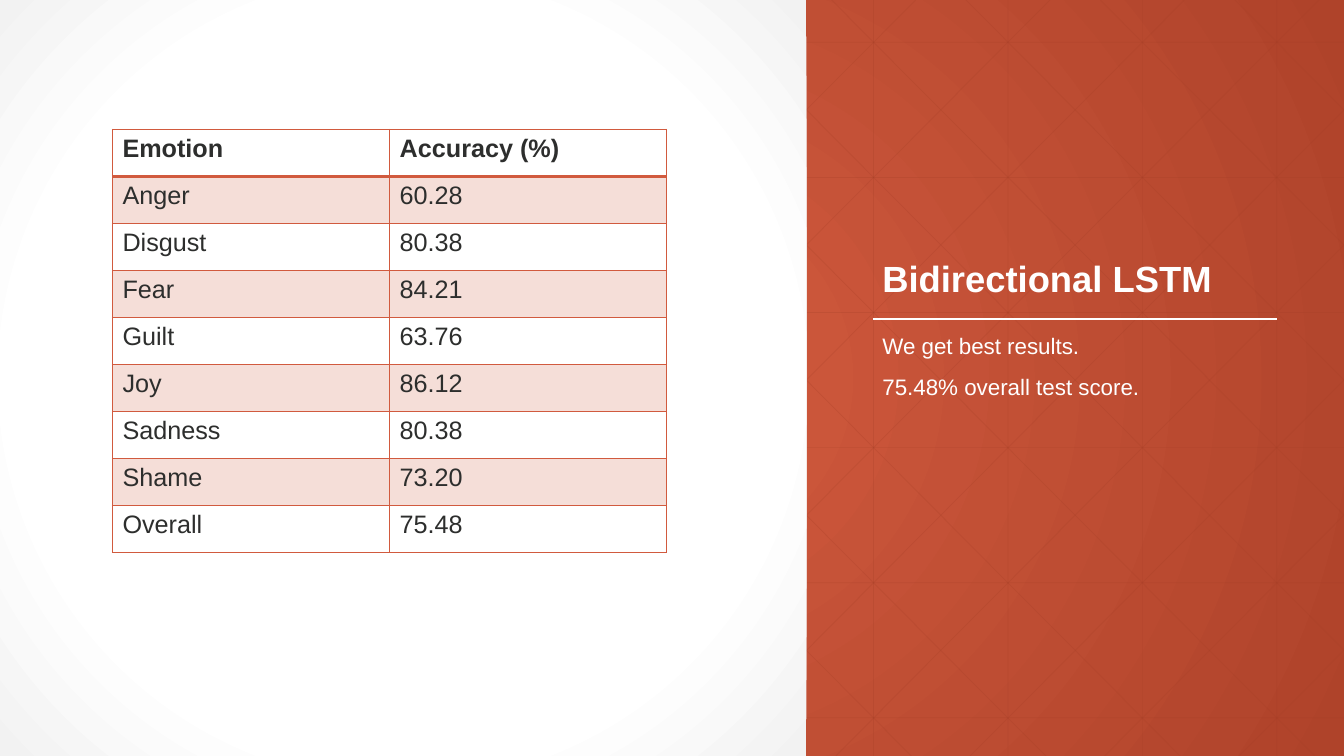
from lxml import etree
from pptx import Presentation
from pptx.dml.color import RGBColor
from pptx.enum.shapes import MSO_CONNECTOR as CONN, MSO_SHAPE as SHAPE
from pptx.enum.text import MSO_ANCHOR as ANCHOR, MSO_AUTO_SIZE as AUTO, PP_ALIGN as ALIGN
from pptx.oxml import parse_xml
from pptx.oxml.ns import nsdecls, qn
from pptx.util import Pt

rgb = RGBColor.from_string
ACCENT, GRID, WHITE, INK = "D15A3E", "A43F27", "FFFFFF", "2D2E2D"
W, H, PANEL_W = 960, 540, 576


def write(tf, text, size=18, color=INK, bold=False, spacing=1.0, before=0):
    tf.word_wrap = True
    tf.text = text
    for p in tf.paragraphs:
        p.alignment = ALIGN.LEFT
        p.line_spacing, p.space_before = spacing, Pt(before)
        f = p.runs[0].font
        f.name, f.size, f.bold = "Arial", Pt(size), bold
        f.color.rgb = rgb(color)


def radial(owner, stops):
    """Turn the owner's gradient fill into a circular one."""
    owner.fill.gradient()
    element = s.element if owner is background else owner.element
    grad = element.find(".//" + qn("a:gradFill"))
    gs = "".join(f'<a:gs pos="{pos * 1000}"><a:srgbClr val="{c}"/></a:gs>' for pos, c in stops)
    grad.getparent().replace(grad, parse_xml(
        f'<a:gradFill {nsdecls("a")} rotWithShape="1"><a:gsLst>{gs}</a:gsLst><a:path path="circle">'
        '<a:fillToRect l="50000" t="50000" r="50000" b="50000"/></a:path></a:gradFill>'))


prs = Presentation()
prs.slide_width, prs.slide_height = Pt(W), Pt(H)
s = prs.slides.add_slide(prs.slide_layouts[5])
background = s.background
radial(background, [(0, ACCENT), (100, "AF432A")])

# Lattice: verticals, horizontals, then both diagonals that reach the red side
lines = [(x, 0, x, H, GRID, 0.5) for x in range(624, W, 96)]
lines += [(0, 30.24 + 96.5 * i, W, 30.24 + 96.5 * i, GRID, 0.5) for i in range(6)]
for first, slope in ((114, 537 / H), (654, -537 / H)):
    for top_x in range(first, first + 9 * 96, 96):
        y1, y2 = (min(max((x - top_x) / slope, 0), H) for x in (0, W))
        lines.append((top_x + slope * y1, y1, top_x + slope * y2, y2, GRID, 0.5))

# The rule under the title comes last, above the white panel
lines.append((623.5, 228, 912.24, 228, WHITE, 1.5))
for x1, y1, x2, y2, color, width in lines:
    if color == WHITE:
        panel = s.shapes.add_shape(SHAPE.RECTANGLE, 0, 0, Pt(PANEL_W), Pt(H))
        panel.shadow.inherit = False
        panel.line.fill.background()
        radial(panel, [(0, WHITE), (69, WHITE), (100, "F2F2F2")])
    line = s.shapes.add_connector(CONN.STRAIGHT, Pt(x1), Pt(y1), Pt(x2), Pt(y2))
    line.line.width = Pt(width)
    line.line.color.rgb = rgb(color)
    if color == GRID:
        etree.SubElement(line.element.find(".//" + qn("a:srgbClr")), qn("a:alpha"), val="25000")
    etree.SubElement(line.element.spPr, qn("a:effectLst"))

# Title, brought in front of the lattice, and remarks
title = s.shapes.title
title.element.getparent().append(title.element)
title.left, title.top, title.width, title.height = Pt(623), Pt(45.2), Pt(288), Pt(172.8)
title.text_frame.vertical_anchor = ANCHOR.BOTTOM
title.text_frame.auto_size = AUTO.NONE
write(title.text_frame, "Bidirectional LSTM", size=26, color=WHITE, bold=True, spacing=0.9)
remarks = s.shapes.add_textbox(Pt(623.2), Pt(236.16), Pt(288), Pt(180))
write(remarks.text_frame, "We get best results.\n75.48% overall test score.",
      size=16, color=WHITE, spacing=0.9, before=12)

# Accuracy table
rows = [("Emotion", "Accuracy (%)"), ("Anger", "60.28"), ("Disgust", "80.38"),
        ("Fear", "84.21"), ("Guilt", "63.76"), ("Joy", "86.12"),
        ("Sadness", "80.38"), ("Shame", "73.20"), ("Overall", "75.48")]
table = s.shapes.add_table(len(rows), 2, Pt(80.3), Pt(92.4), Pt(396), Pt(33.6 * len(rows))).table
table.first_row = table.horz_banding = False
for i, row in enumerate(rows):
    table.rows[i].height = Pt(33.6)
    for j, text in enumerate(row):
        cell = table.cell(i, j)
        write(cell.text_frame, text, bold=i == 0)
        tc_pr = cell._tc.get_or_add_tcPr()
        for side in ("lnL", "lnR", "lnT", "lnB"):
            heavy = (i, side) in ((0, "lnB"), (1, "lnT"))
            tc_pr.append(parse_xml(
                f'<a:{side} {nsdecls("a")} w="{Pt(2 if heavy else 1)}"><a:solidFill>'
                f'<a:srgbClr val="{ACCENT}"/></a:solidFill></a:{side}>'))
        if i % 2:
            cell.fill.solid()
            cell.fill.fore_color.rgb = rgb(ACCENT)
            tint = tc_pr.find(qn("a:solidFill")).find(qn("a:srgbClr"))
            etree.SubElement(tint, qn("a:alpha"), val="20000")
        else:
            cell.fill.background()

prs.save("out.pptx")
